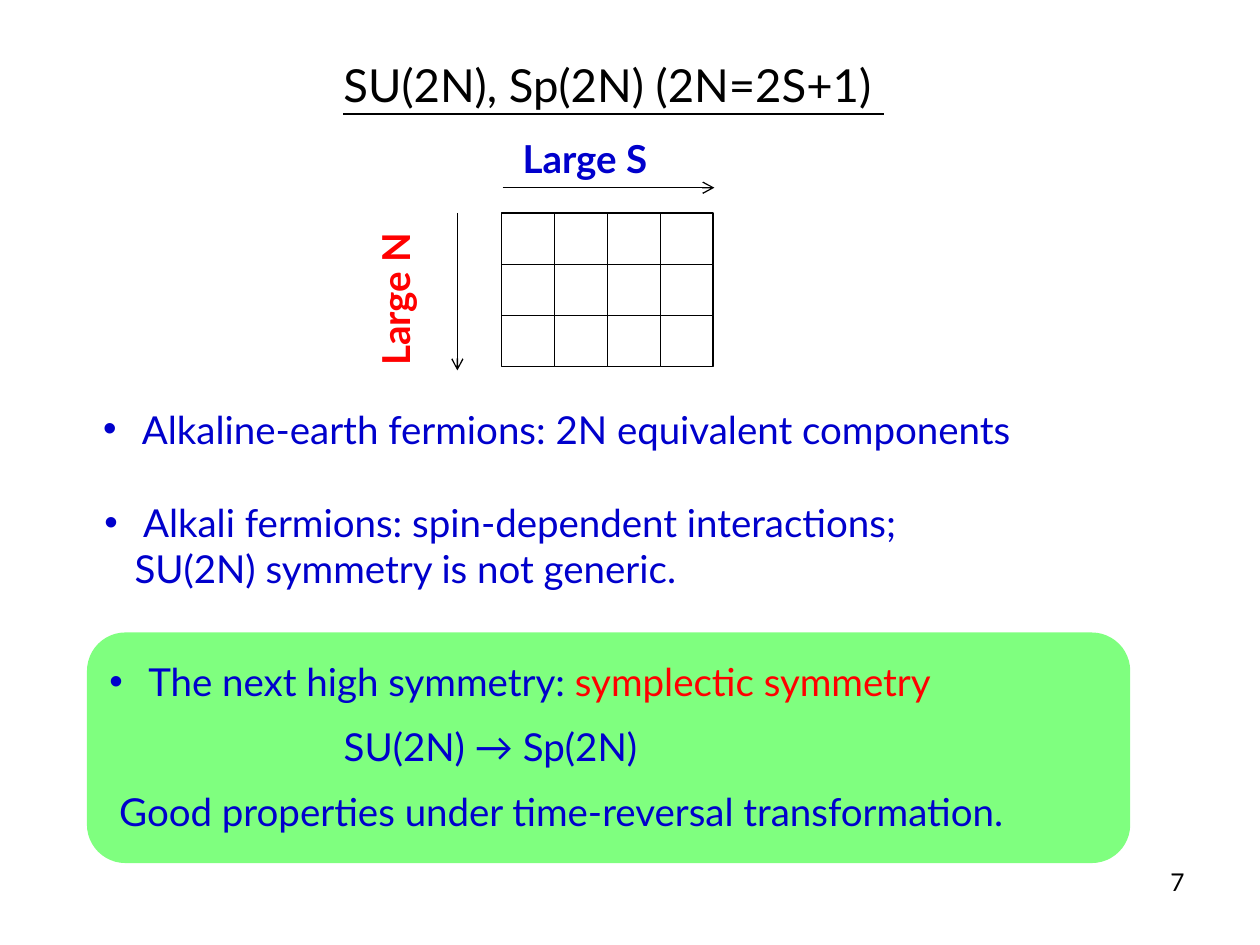
from dataclasses import dataclass

from lxml import etree
from pptx import Presentation
from pptx.dml.color import RGBColor
from pptx.enum.shapes import MSO_CONNECTOR, MSO_SHAPE
from pptx.enum.text import MSO_ANCHOR, PP_ALIGN
from pptx.oxml.ns import qn
from pptx.util import Inches, Pt

LEFT, CENTER, RIGHT = PP_ALIGN.LEFT, PP_ALIGN.CENTER, PP_ALIGN.RIGHT
TOP, MIDDLE = MSO_ANCHOR.TOP, MSO_ANCHOR.MIDDLE
RECTANGLE, ROUNDED = MSO_SHAPE.RECTANGLE, MSO_SHAPE.ROUNDED_RECTANGLE
STRAIGHT = MSO_CONNECTOR.STRAIGHT


@dataclass(frozen=True)
class Theme:
    """Font, colours and type sizes of the slide."""
    font: str = "Lato"
    black: RGBColor = RGBColor(0, 0, 0)
    white: RGBColor = RGBColor(255, 255, 255)
    blue: RGBColor = RGBColor(0, 0, 0xCC)
    red: RGBColor = RGBColor(255, 0, 0)
    green: RGBColor = RGBColor(0, 255, 0)
    title: int = 26
    body: int = 22
    number: int = 14
    line: float = 0.75


THEME = Theme()


def add_box(page, left, top, width, height, anchor=TOP, rotation=0):
    """Add an empty wrapping text box and return its text frame."""
    box = page.shapes.add_textbox(Inches(left), Inches(top), Inches(width), Inches(height))
    box.rotation = rotation
    frame = box.text_frame
    frame.word_wrap = True
    frame.vertical_anchor = anchor
    return frame


def add_span(para, text, size=THEME.body, color=THEME.blue, bold=False, underline=False):
    """Add a formatted run to a paragraph."""
    span = para.add_run()
    span.text = text
    font = span.font
    font.name, font.size, font.color.rgb = THEME.font, Pt(size), color
    font.bold, font.underline = bold, underline


def write(frame, text, align=LEFT, bullet=False, indent=0, before=0, **style):
    """Write a paragraph into a frame, using its first one if still empty."""
    first = frame.paragraphs[0]
    para = frame.add_paragraph() if first.runs else first
    para.alignment = align
    para.space_before = Pt(before)
    properties = para._p.get_or_add_pPr()
    if bullet:
        hanging = Inches(0.24)
        properties.set("marL", str(hanging))
        properties.set("indent", str(-hanging))
        etree.SubElement(properties, qn("a:buFont"), typeface="Arial")
        etree.SubElement(properties, qn("a:buChar"), char="•")
    elif indent:
        properties.set("marL", str(Inches(indent)))
        properties.set("indent", "0")
    add_span(para, text, **style)
    return para


def add_panel(page, left, top, width, height):
    """Add the half-transparent rounded panel."""
    panel = page.shapes.add_shape(
        ROUNDED, Inches(left), Inches(top), Inches(width), Inches(height))
    panel.shadow.inherit = False
    panel.fill.solid()
    panel.fill.fore_color.rgb = THEME.green
    panel.line.fill.background()
    color = panel._element.spPr.find(qn("a:solidFill"))[0]
    etree.SubElement(color, qn("a:alpha"), val="50000")


def add_grid(page, left, top, width, height, rows, columns):
    """Add a group of equal outlined cells."""
    group = page.shapes.add_group_shape()
    cell_width, cell_height = width / columns, height / rows
    for row in range(rows):
        for column in range(columns):
            cell = group.shapes.add_shape(
                RECTANGLE,
                Inches(left + column * cell_width), Inches(top + row * cell_height),
                Inches(cell_width), Inches(cell_height))
            cell.shadow.inherit = False
            cell.fill.solid()
            cell.fill.fore_color.rgb = THEME.white
            cell.line.color.rgb = THEME.black
            cell.line.width = Pt(THEME.line)


def add_arrow(page, x1, y1, x2, y2):
    """Add a straight line with an open arrowhead at its end."""
    arrow = page.shapes.add_connector(
        STRAIGHT, Inches(x1), Inches(y1), Inches(x2), Inches(y2))
    arrow.line.color.rgb = THEME.black
    arrow.line.width = Pt(THEME.line)
    etree.SubElement(arrow.line._get_or_add_ln(), qn("a:tailEnd"), type="arrow")
    etree.SubElement(arrow._element.spPr, qn("a:effectLst"))


def main():
    """Build the slide and save the deck."""
    deck = Presentation()
    deck.slide_width, deck.slide_height = Inches(10), Inches(7.5)
    page = deck.slides.add_slide(deck.slide_layouts[6])

    add_panel(page, 0.69, 5.02, 8.28, 1.83)
    write(add_box(page, 0.33, 0.42, 9.08, 0.5, anchor=MIDDLE),
          "SU(2N), Sp(2N) (2N=2S+1) ", align=CENTER,
          size=THEME.title, color=THEME.black, underline=True)

    write(add_box(page, 0.72, 3.17, 8.09, 0.47),
          " Alkaline-earth fermions: 2N equivalent components", bullet=True)
    write(add_box(page, 0.73, 3.91, 7.26, 0.84),
          " Alkali fermions: spin-dependent interactions; SU(2N) symmetry is not generic.",
          bullet=True)

    add_grid(page, 3.98, 1.69, 1.68, 1.22, rows=3, columns=4)
    add_arrow(page, 3.99, 1.49, 5.67, 1.49)
    add_arrow(page, 3.63, 1.69, 3.63, 2.94)
    write(add_box(page, 4.05, 1.02, 1.75, 0.47), "Large S", bold=True)
    write(add_box(page, 2.26, 1.89, 1.75, 0.47, rotation=270),
          "Large N", color=THEME.red, bold=True)

    summary = add_box(page, 0.77, 5.17, 8.03, 1.58)
    para = write(summary, " The next high symmetry: ", bullet=True)
    add_span(para, "symplectic symmetry", color=THEME.red)
    write(summary, "SU(2N) → Sp(2N)", indent=1.86, before=11)
    write(summary, " Good properties under time-reversal transformation.", before=11)

    write(add_box(page, 7.17, 6.83, 2.33, 0.52), "7", align=RIGHT,
          size=THEME.number, color=THEME.black)
    deck.save("out.pptx")


if __name__ == "__main__":
    main()
